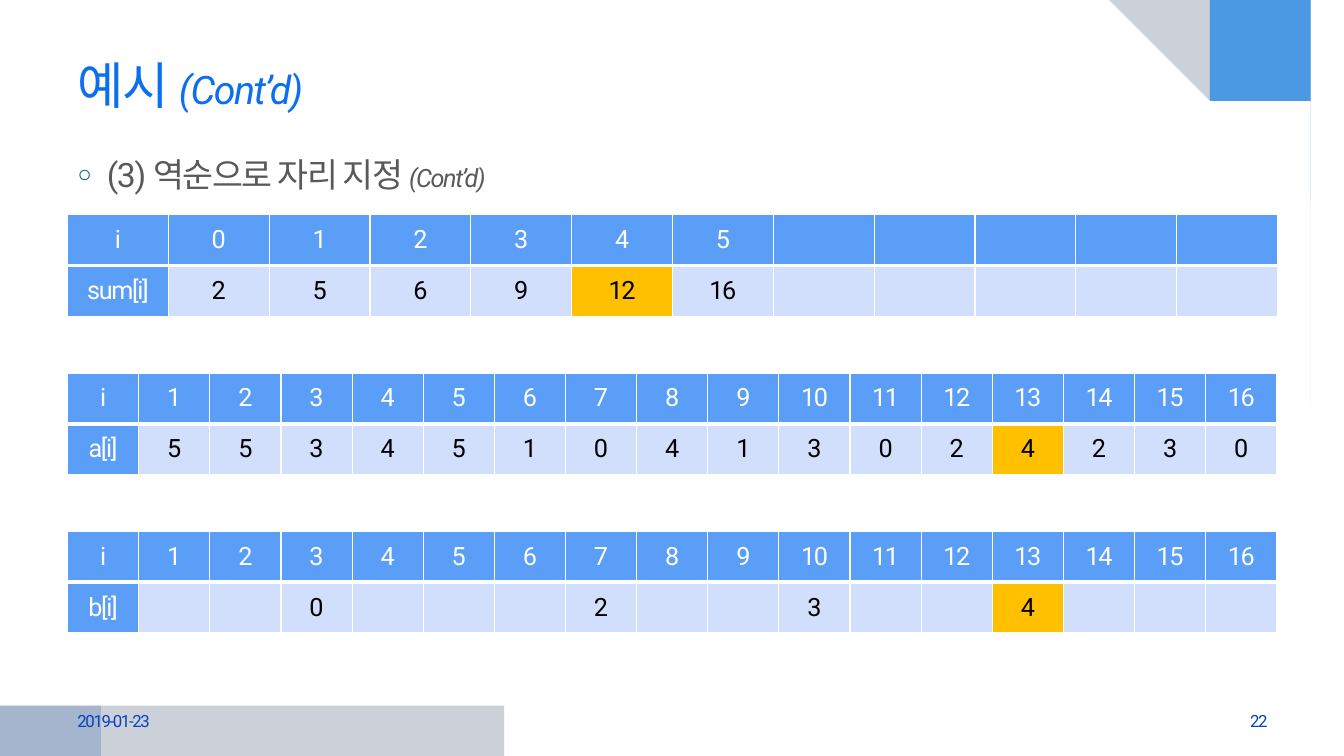
from math import cos, pi, sin

from lxml import etree
from pptx import Presentation
from pptx.dml.color import RGBColor
from pptx.enum.text import MSO_ANCHOR, MSO_AUTO_SIZE, PP_ALIGN
from pptx.oxml.ns import qn
from pptx.util import Inches, Pt

WIDTH, HEIGHT = 13.33, 7.5
MARGIN = 0.67
CONTENT = 12
FONT = "Roboto"
COLORS = {
    "title": "0C6FF2", "body": "595959", "bullet": "005876", "footer": "0743BC",
    "header": "5B9EF7", "cell": "D2DFFC", "marked": "FFC000",
    "white": "FFFFFF", "black": "000000",
    "cyan": "00B1E9", "navy": "021741", "blue": "247FF4", "deep": "084AA1",
}


def rgb(name):
    return RGBColor.from_string(COLORS[name])


def add_span(para, text, size, color, italic=False):
    span = para.add_run()
    span.text = text
    span.font.name = FONT
    span.font.size = Pt(size)
    span.font.italic = italic or None
    span.font.color.rgb = rgb(color)
    span.font._element.set("spc", "-100")


def add_corner_sweep(page, layer, right, top, width, height, color, opacity):
    """Fill a page corner up to a superelliptic curve."""
    corner_x, x_sign = (WIDTH, 1) if right else (0, -1)
    corner_y, y_sign = (0, -1) if top else (HEIGHT, 1)
    center_x = corner_x - x_sign * width
    center_y = corner_y - y_sign * height
    power, steps = 2 / 1.75, 48
    angles = [pi / 2 * step / steps for step in range(steps + 1)]
    curve = [(center_x + x_sign * width * abs(sin(angle)) ** power,
              center_y + y_sign * height * abs(cos(angle)) ** power)
             for angle in angles]
    builder = page.shapes.build_freeform(corner_x, corner_y, scale=Inches(1))
    builder.add_line_segments(curve, close=True)
    sweep = builder.convert_to_shape()
    sweep.shadow.inherit = False
    sweep.line.fill.background()
    sweep.fill.solid()
    sweep.fill.fore_color.rgb = rgb(color)
    tint = sweep._element.spPr.find(qn("a:solidFill"))[0]
    etree.SubElement(tint, qn("a:alpha"), val=str(opacity * 1000))
    # Keep the decoration behind the text
    page.shapes._spTree.insert(2 + layer, sweep._element)


def add_decoration(page):
    sweeps = [
        (True, True, 1.44, 4.08, "cyan", 45),
        (True, True, 4.44, 2.15, "navy", 20),
        (True, True, 4.44, 1.55, "blue", 49),
        (False, False, 5, 1.42, "navy", 20),
        (False, False, 1.48, 2.92, "deep", 20),
    ]
    for layer, sweep in enumerate(sweeps):
        add_corner_sweep(page, layer, *sweep)


def place(box, left, top, width, height):
    box.left, box.top = Inches(left), Inches(top)
    box.width, box.height = Inches(width), Inches(height)
    box.text_frame.word_wrap = True
    box.text_frame.auto_size = MSO_AUTO_SIZE.NONE


def fill_title(box):
    place(box, MARGIN, 0.33, CONTENT, 1.01)
    box.text_frame.vertical_anchor = MSO_ANCHOR.MIDDLE
    para = box.text_frame.paragraphs[0]
    para.alignment = PP_ALIGN.LEFT
    add_span(para, "예시 ", 36, "title")
    add_span(para, "(Cont’d)", 28, "title", italic=True)


def fill_body(box):
    place(box, MARGIN, 1.48, CONTENT, 5.22)
    para = box.text_frame.paragraphs[0]
    props = para._p.get_or_add_pPr()
    props.set("marL", str(Inches(0.29)))
    props.set("indent", str(-Inches(0.29)))
    bullet_color = etree.SubElement(props, qn("a:buClr"))
    etree.SubElement(bullet_color, qn("a:srgbClr"), val=COLORS["bullet"])
    etree.SubElement(props, qn("a:buSzPct"), val="70000")
    etree.SubElement(props, qn("a:buChar"), char="○")
    para.space_before = Pt(0)
    add_span(para, "(3) 역순으로 자리 지정 ", 24, "body")
    add_span(para, "(Cont’d)", 18, "body", italic=True)


def add_footer(page, left, text, alignment):
    box = page.shapes.add_textbox(0, 0, 0, 0)
    place(box, left, 6.95, 3.11, 0.4)
    box.text_frame.vertical_anchor = MSO_ANCHOR.MIDDLE
    para = box.text_frame.paragraphs[0]
    para.alignment = alignment
    add_span(para, text, 12, "footer")


def format_cell(cell, text, fill, color, top_line, bottom_line):
    props = cell._tc.get_or_add_tcPr()
    for side, points in zip("LRTB", (1, 1, top_line, bottom_line)):
        line = etree.SubElement(props, qn(f"a:ln{side}"), w=str(Pt(points)))
        paint = etree.SubElement(line, qn("a:solidFill"))
        etree.SubElement(paint, qn("a:srgbClr"), val=COLORS["white"])
    cell.fill.solid()
    cell.fill.fore_color.rgb = rgb(fill)
    cell.vertical_anchor = MSO_ANCHOR.MIDDLE
    para = cell.text_frame.paragraphs[0]
    para.alignment = PP_ALIGN.CENTER
    if text:
        add_span(para, text, 18, color)


def add_array_table(page, top, indices, name, values, marked):
    """Index row above a value row, with one value column marked."""
    rows = [["i"] + indices, [name] + values]
    count = len(rows[0])
    table = page.shapes.add_table(2, count, Inches(MARGIN), Inches(top),
                                  Inches(CONTENT), Inches(1.01)).table
    for column in table.columns:
        column.width = Inches(CONTENT / count)
    for r, row in enumerate(rows):
        for c, text in enumerate(row):
            is_header = r == 0 or c == 0
            fill = "header" if is_header else "marked" if c == marked else "cell"
            format_cell(table.cell(r, c), text, fill,
                        "white" if is_header else "black",
                        top_line=3 if r else 1, bottom_line=1 if r else 3)


def add_arrays(page, top, pitch):
    sum_indices = [str(i) for i in range(6)] + [""] * 5
    indices = [str(i) for i in range(1, 17)]
    sums = ["2", "5", "6", "9", "12", "16"] + [""] * 5
    source = list("5534510413024230")
    placed = {"3": "0", "7": "2", "10": "3", "13": "4"}
    arrays = [
        (sum_indices, "sum[i]", sums, 5),
        (indices, "a[i]", source, 13),
        (indices, "b[i]", [placed.get(i, "") for i in indices], 13),
    ]
    for number, array in enumerate(arrays):
        add_array_table(page, top + number * pitch, *array)


def main():
    deck = Presentation()
    deck.slide_width, deck.slide_height = Inches(WIDTH), Inches(HEIGHT)
    page = deck.slides.add_slide(deck.slide_layouts[1])
    add_decoration(page)
    fill_title(page.shapes.title)
    fill_body(page.placeholders[1])
    add_footer(page, MARGIN, "2019-01-23", PP_ALIGN.LEFT)
    add_footer(page, MARGIN + CONTENT - 3.11, "22", PP_ALIGN.RIGHT)
    add_arrays(page, top=2.13, pitch=1.57)
    deck.save("out.pptx")


if __name__ == "__main__":
    main()
